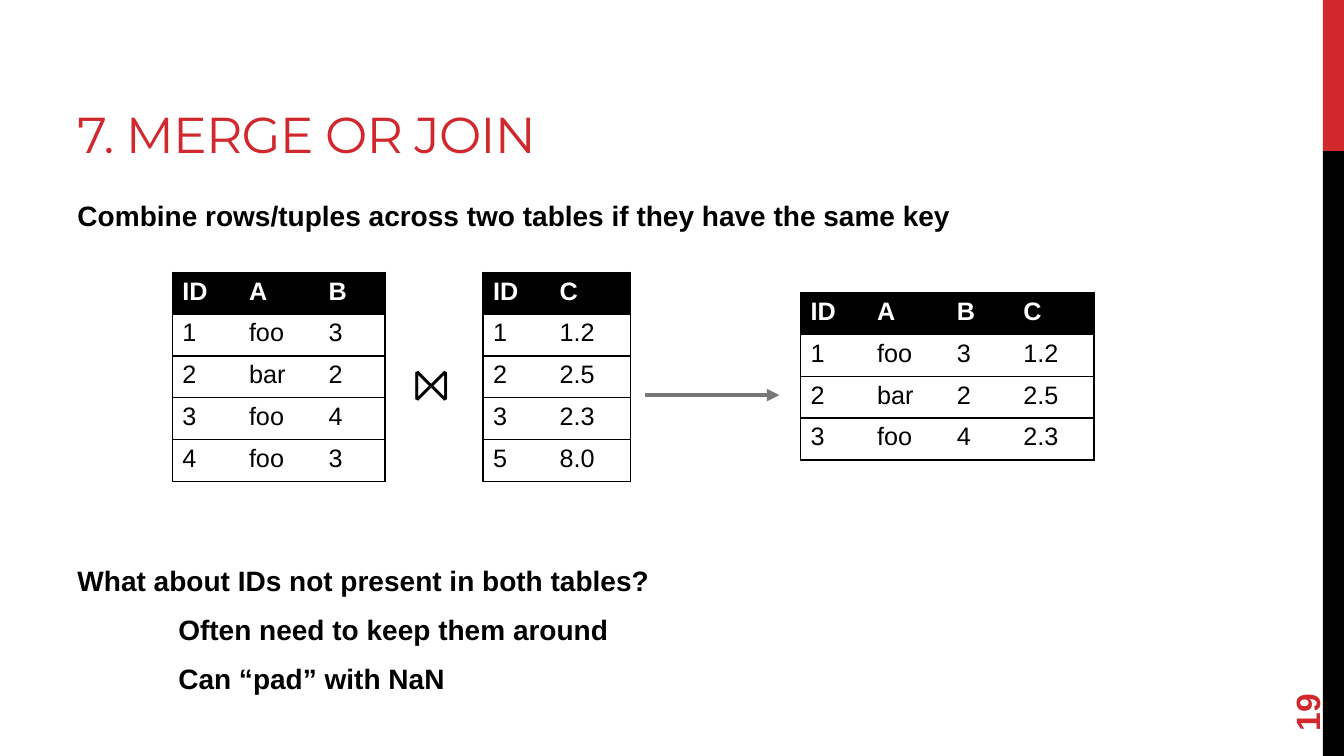
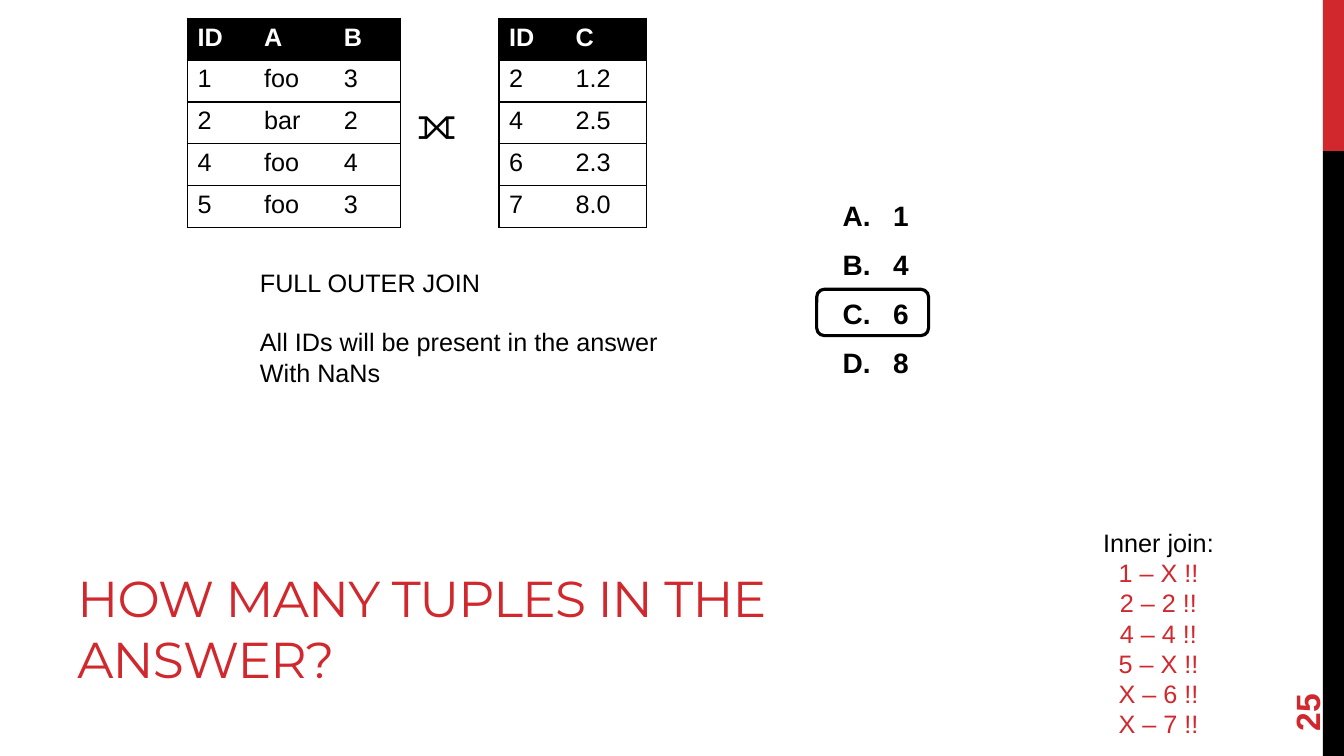
from dataclasses import dataclass, field

from lxml import etree
from pptx import Presentation
from pptx.dml.color import RGBColor
from pptx.enum import shapes, text
from pptx.oxml import ns
from pptx.util import Inches, Pt

RED = RGBColor(0xD1, 0x28, 0x2E)
BLACK = RGBColor(0, 0, 0)
WHITE = RGBColor(0xFF, 0xFF, 0xFF)
GRAY = RGBColor(0x77, 0x77, 0x77)

TITLE = {"name": "Montserrat", "size": Pt(36), "bold": False}
BODY = {"name": "Arial", "size": Pt(20), "bold": True}
PLAIN = {"name": "Arial", "size": Pt(18), "bold": False}
HEAD = PLAIN | {"bold": True}
SIGN = PLAIN | {"size": Pt(32)}
PAGE = BODY | {"size": Pt(24)}

LOOSE = {"space_before": Pt(5), "space_after": Pt(6)}
CENTER = {"alignment": text.PP_ALIGN.CENTER}

WIDTHS = {"ID": 0.66, "A": 0.79, "B": 0.66, "C": 0.8}
ROW = 2.08 / 5


@dataclass
class Line:
    """One paragraph; indent and hang are in inches."""
    words: str
    color: RGBColor = BLACK
    form: dict = field(default_factory=dict)
    indent: float = 0
    hang: float = 0
    number: str = ""


@dataclass
class Grid:
    left: float
    top: float
    heads: list[str]
    rows: list[str]


def add(parent, tag: str, **attrs: str):
    node = etree.SubElement(parent, ns.qn(tag))
    for key, value in attrs.items():
        node.set(key, value)
    return node


def style(font, looks: dict, color: RGBColor) -> None:
    for key, value in looks.items():
        setattr(font, key, value)
    font.color.rgb = color


def write(slide, left: float, top: float, width: float, height: float,
          lines: list[Line], looks: dict, anchor=text.MSO_ANCHOR.TOP):
    """Add a wrapped text box and return it."""
    box = slide.shapes.add_textbox(*map(Inches, (left, top, width, height)))
    frame = box.text_frame
    frame.word_wrap = True
    frame.vertical_anchor = anchor
    for place, line in enumerate(lines):
        para = frame.add_paragraph() if place else frame.paragraphs[0]
        props = para._p.get_or_add_pPr()
        if line.indent:
            props.set("marL", str(Inches(line.indent)))
            props.set("indent", str(Inches(line.hang)))
        if line.number:
            add(props, "a:buFont", typeface="+mj-lt")
            add(props, "a:buAutoNum", type=line.number)
        for key, value in line.form.items():
            if place or key != "space_before":
                setattr(para, key, value)
        run = para.add_run()
        run.text = line.words
        style(run.font, looks, line.color)
    return box


def title(slide, top: float, words: str) -> None:
    box = write(slide, 0.67, top, 8.44, 1.5, [Line(words, RED)], TITLE,
                text.MSO_ANCHOR.BOTTOM)
    run = box.text_frame.paragraphs[0].runs[0]
    run._r.get_or_add_rPr().set("spc", "-60")


def border(cell, shown: dict[str, bool]) -> None:
    """Draw the shown sides and clear the others."""
    props = cell._tc.get_or_add_tcPr()
    for place, (side, drawn) in enumerate(shown.items()):
        edge = add(props, f"a:ln{side}", w=str(Pt(1)))
        if drawn:
            fill = add(edge, "a:solidFill")
            add(fill, "a:srgbClr", val=str(BLACK))
        else:
            add(edge, "a:noFill")
        props.insert(place, edge)


def table(slide, grid: Grid) -> None:
    data = [grid.heads] + [row.split() for row in grid.rows]
    wide = [WIDTHS[head] for head in grid.heads]
    size = (grid.left, grid.top, sum(wide), ROW * len(data))
    tab = slide.shapes.add_table(len(data), len(wide), *map(Inches, size)).table
    for col, width in zip(tab.columns, wide):
        col.width = Inches(width)
    for y, row in enumerate(data):
        tab.rows[y].height = Inches(ROW)
        for x, words in enumerate(row):
            cell = tab.cell(y, x)
            cell.fill.solid()
            cell.fill.fore_color.rgb = WHITE if y else BLACK
            border(cell, {"L": x == 0, "R": x == len(row) - 1,
                          "T": True, "B": True})
            run = cell.text_frame.paragraphs[0].add_run()
            run.text = words
            style(run.font, PLAIN if y else HEAD, BLACK if y else WHITE)


def arrow(slide, start: float, end: float, level: float) -> None:
    line = slide.shapes.add_connector(
        shapes.MSO_CONNECTOR.STRAIGHT,
        *map(Inches, (start, level, end, level)))
    line.line.color.rgb = GRAY
    line.line.width = Pt(3)
    add(line.line._get_or_add_ln(), "a:tailEnd", type="triangle")
    add(line._element.spPr, "a:effectLst")


def ring(slide, left: float, top: float, width: float, height: float) -> None:
    """Outline the right answer."""
    mark = slide.shapes.add_shape(
        shapes.MSO_SHAPE.ROUNDED_RECTANGLE,
        *map(Inches, (left, top, width, height)))
    mark.shadow.inherit = False
    mark.fill.background()
    mark.line.color.rgb = BLACK
    mark.line.width = Pt(2.25)


def start(deck, page: str):
    """Add a slide with its side bands and page number."""
    slide = deck.slides.add_slide(deck.slide_layouts[6])
    for top, height, color in ((0, 1.5, RED), (1.5, 6, BLACK)):
        band = slide.shapes.add_shape(
            shapes.MSO_SHAPE.RECTANGLE,
            *map(Inches, (13.12, top, 0.21, height)))
        band.shadow.inherit = False
        band.fill.solid()
        band.fill.fore_color.rgb = color
        band.line.fill.background()
    box = write(slide, 12.24, 6.37, 1.44, 0.53, [Line(page, RED)], PAGE,
                text.MSO_ANCHOR.MIDDLE)
    box.rotation = 270
    return slide


def merge(deck) -> None:
    slide = start(deck, "19")
    title(slide, 0.17, "7. MERGE OR JOIN")
    write(slide, 0.67, 1.92, 11.11, 0.5, [
        Line("Combine rows/tuples across two tables if they have the same key"),
    ], BODY)
    for grid in (
        Grid(1.71, 2.7, ["ID", "A", "B"],
             ["1 foo 3", "2 bar 2", "3 foo 4", "4 foo 3"]),
        Grid(4.79, 2.7, ["ID", "C"], ["1 1.2", "2 2.5", "3 2.3", "5 8.0"]),
        Grid(7.94, 2.9, ["ID", "A", "B", "C"],
             ["1 foo 3 1.2", "2 bar 2 2.5", "3 foo 4 2.3"]),
    ):
        table(slide, grid)
    arrow(slide, 6.4, 7.73, 3.92)
    write(slide, 4, 3.48, 0.73, 0.64, [Line("⨝")], SIGN)
    write(slide, 0.67, 5.54, 7.97, 1.94, [
        Line("What about IDs not present in both tables?", form=LOOSE),
        Line("Often need to keep them around", form=LOOSE, indent=1),
        Line("Can “pad” with NaN", form=LOOSE, indent=1),
    ], BODY)


def quiz(deck) -> None:
    slide = start(deck, "25")
    table(slide, Grid(1.86, 0.18, ["ID", "A", "B"],
                      ["1 foo 3", "2 bar 2", "4 foo 4", "5 foo 3"]))
    table(slide, Grid(4.95, 0.18, ["ID", "C"],
                      ["2 1.2", "4 2.5", "6 2.3", "7 8.0"]))
    write(slide, 4.04, 0.89, 0.73, 0.64, [Line("⟗")], SIGN)
    write(slide, 2.48, 2.6, 4.3, 1.31, [
        Line("FULL OUTER JOIN"),
        Line("All IDs will be present in the answer",
             form={"space_before": Pt(21)}),
        Line("With NaNs"),
    ], PLAIN)
    title(slide, 5.38, "HOW MANY TUPLES IN THE ANSWER?")
    write(slide, 8.26, 1.92, 3.52, 2, [
        Line(count, form=LOOSE, indent=0.5, hang=-0.5, number="alphaUcPeriod")
        for count in "1468"
    ], BODY)
    pairs = ("1 – X", "2 – 2", "4 – 4", "5 – X", "X – 6", "X – 7")
    write(slide, 10.18, 5.18, 2.62, 2.22, [
        Line("Inner join:", form=CENTER),
        *(Line(f"{pair} !!", RED, CENTER) for pair in pairs),
    ], PLAIN)
    ring(slide, 8.1, 2.87, 1.11, 0.46)


def main() -> None:
    deck = Presentation()
    deck.slide_width = Inches(13.33)
    deck.slide_height = Inches(7.5)
    merge(deck)
    quiz(deck)
    deck.save("out.pptx")


if __name__ == "__main__":
    main()
